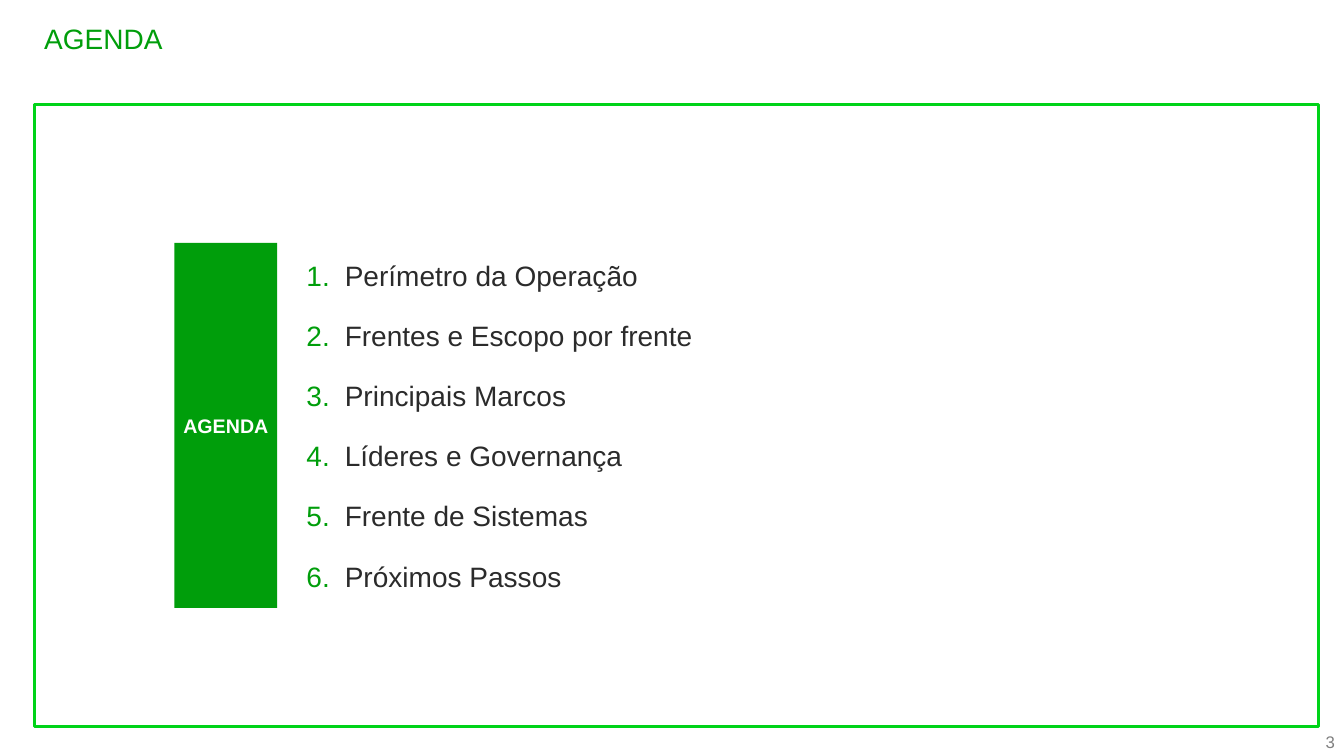
from lxml import etree
from pptx import Presentation
from pptx.dml.color import RGBColor
from pptx.enum.shapes import MSO_SHAPE
from pptx.enum.text import MSO_ANCHOR, PP_ALIGN
from pptx.oxml.ns import qn
from pptx.util import Inches, Pt

TITLE = "AGENDA"
PAGE_NUMBER = "3"
AGENDA_ITEMS = [
    "Perímetro da Operação",
    "Frentes e Escopo por frente",
    "Principais Marcos",
    "Líderes e Governança",
    "Frente de Sistemas",
    "Próximos Passos",
]

GREEN = RGBColor(0x00, 0x9E, 0x0B)
BRIGHT_GREEN = RGBColor(0x00, 0xD3, 0x18)
DARK_GRAY = RGBColor(0x2B, 0x2B, 0x2B)
GRAY = RGBColor(0x80, 0x80, 0x80)
WHITE = RGBColor(0xFF, 0xFF, 0xFF)
RECTANGLE = MSO_SHAPE.RECTANGLE
TOP, MIDDLE = MSO_ANCHOR.TOP, MSO_ANCHOR.MIDDLE
LEFT, CENTER, RIGHT = PP_ALIGN.LEFT, PP_ALIGN.CENTER, PP_ALIGN.RIGHT

TITLE_BOX = (0.34, 0.13, 11.76, 0.61)
PAGE_BOX = (12.94, 7.21, 0.35, 0.3)
FRAME_BOX = (0.34, 1.04, 12.74, 6.17)
LIST_BOX = (2.96, 2.45, 8.81, 3.38)
BANNER_BOX = (1.73, 2.41, 1.02, 3.62)

TITLE_FORMAT = {"size": Pt(20), "color": GREEN}
PAGE_FORMAT = {"size": Pt(12), "color": GRAY}
LIST_FORMAT = {"size": Pt(20), "color": DARK_GRAY}
BANNER_FORMAT = {"size": Pt(14), "color": WHITE, "bold": True}
NUMBER_INDENT = Inches(0.38)


def add_numbering(paragraph):
    properties = paragraph._p.get_or_add_pPr()
    properties.set("marL", str(NUMBER_INDENT))
    properties.set("indent", str(-NUMBER_INDENT))
    bullet_color = etree.SubElement(properties, qn("a:buClr"))
    etree.SubElement(bullet_color, qn("a:srgbClr"), val=str(GREEN))
    etree.SubElement(properties, qn("a:buFont"), typeface="+mj-lt")
    etree.SubElement(properties, qn("a:buAutoNum"), type="arabicPeriod")


def write_text(shape, lines, text_format, insets, anchor=TOP, alignment=LEFT, numbered=False):
    frame = shape.text_frame
    frame.word_wrap = True
    frame.vertical_anchor = anchor
    for side, inset in zip(("left", "top", "right", "bottom"), insets):
        setattr(frame, f"margin_{side}", Inches(inset))
    for index, line in enumerate(lines):
        paragraph = frame.add_paragraph() if index else frame.paragraphs[0]
        paragraph.alignment = alignment
        if numbered:
            add_numbering(paragraph)
            paragraph.space_after = Pt(19)
        run = paragraph.add_run()
        run.text = line
        run.font.name = "Arial"
        for name, value in text_format.items():
            if name == "color":
                run.font.color.rgb = value
            else:
                setattr(run.font, name, value)


def add_text(slide, box, *arguments, **options):
    shape = slide.shapes.add_textbox(*map(Inches, box))
    write_text(shape, *arguments, **options)


def add_rectangle(slide, box):
    shape = slide.shapes.add_shape(RECTANGLE, *map(Inches, box))
    shape.shadow.inherit = False
    return shape


def main():
    presentation = Presentation()
    presentation.slide_width = Inches(13.33)
    presentation.slide_height = Inches(7.5)
    slide = presentation.slides.add_slide(presentation.slide_layouts[6])

    add_text(slide, TITLE_BOX, [TITLE], TITLE_FORMAT, (0.1, 0.08, 0.1, 0.05))
    add_text(slide, PAGE_BOX, [PAGE_NUMBER], PAGE_FORMAT, (0.05,) * 4,
             anchor=MIDDLE, alignment=RIGHT)

    frame = add_rectangle(slide, FRAME_BOX)
    frame.fill.background()
    frame.line.color.rgb = BRIGHT_GREEN
    frame.line.width = Pt(2)

    add_text(slide, LIST_BOX, AGENDA_ITEMS, LIST_FORMAT, (0.08, 0.11, 0, 0), numbered=True)

    banner = add_rectangle(slide, BANNER_BOX)
    banner.fill.solid()
    banner.fill.fore_color.rgb = GREEN
    banner.line.fill.background()
    write_text(banner, [TITLE], BANNER_FORMAT, (0,) * 4, anchor=MIDDLE, alignment=CENTER)

    presentation.save("out.pptx")


if __name__ == "__main__":
    main()
